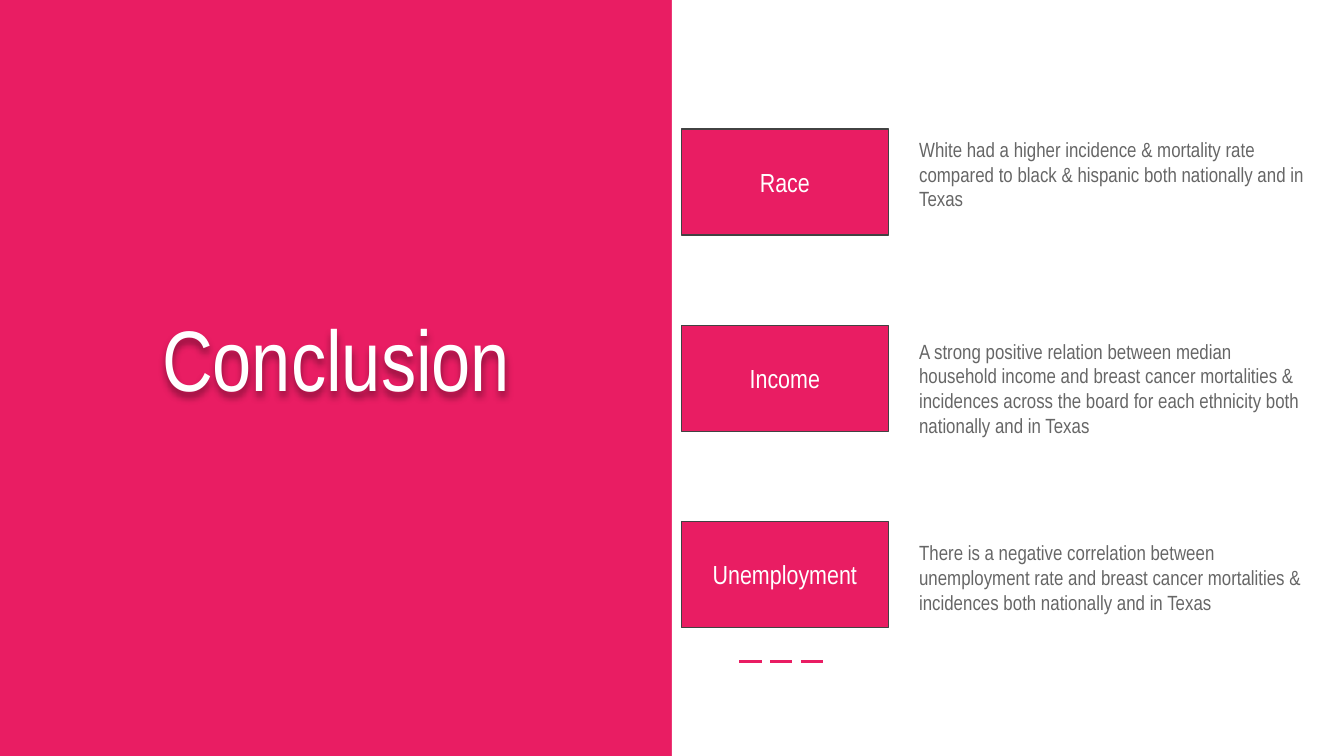
import dataclasses

import lxml.etree
import pptx
import pptx.dml.color
import pptx.enum.dml
import pptx.enum.shapes
import pptx.enum.text
import pptx.oxml
import pptx.oxml.ns
import pptx.util

Inches = pptx.util.Inches
Align = pptx.enum.text.PP_ALIGN
Anchor = pptx.enum.text.MSO_ANCHOR

SLIDE_WIDTH = 10
SLIDE_HEIGHT = SLIDE_WIDTH * 9 / 16


@dataclasses.dataclass(frozen=True)
class Theme:
    font: str = "Arial Narrow"
    pink: str = "E91D63"
    white: str = "FFFFFF"
    outline: str = "424242"
    grey: str = "666666"
    title_size: int = 46
    label_size: int = 14
    finding_size: int = 11


THEME = Theme()

FINDINGS = [
    ("Race", "White had a higher incidence & mortality rate compared to black & "
             "hispanic both nationally and in Texas", 0.88),
    ("Income", "A strong positive relation between median household income and "
               "breast cancer mortalities & incidences across the board for each "
               "ethnicity both nationally and in Texas", 1.06),
    ("Unemployment", "There is a negative correlation between unemployment rate and "
                     "breast cancer mortalities & incidences both nationally and in "
                     "Texas", 0.88),
]

TITLE_SHADOW = (
    f'<a:effectLst {pptx.oxml.ns.nsdecls("a")}>'
    '<a:outerShdw blurRad="50800" dist="38100" dir="5400000" algn="t" rotWithShape="0">'
    '<a:srgbClr val="000000"><a:alpha val="40000"/></a:srgbClr>'
    '</a:outerShdw></a:effectLst>'
)


def rgb(value):
    return pptx.dml.color.RGBColor.from_string(value)


def write_text(shape, text, *, size, color, align=Align.LEFT, anchor=Anchor.TOP):
    frame = shape.text_frame
    frame.word_wrap = True
    frame.vertical_anchor = anchor
    frame.margin_left = frame.margin_right = Inches(0.1)
    frame.margin_top = frame.margin_bottom = Inches(0.1)
    paragraph = frame.paragraphs[0]
    paragraph.alignment = align
    run = paragraph.add_run()
    run.text = text
    run.font.name = THEME.font
    run.font.size = pptx.util.Pt(size)
    run.font.color.rgb = rgb(color)


def add_text(slide, box, text, **text_format):
    area = slide.shapes.add_textbox(*map(Inches, box))
    write_text(area, text, **text_format)
    return area


def add_panel(slide, box, fill, outline=None):
    panel = slide.shapes.add_shape(
        pptx.enum.shapes.MSO_SHAPE.RECTANGLE, *map(Inches, box))
    panel.shadow.inherit = False
    panel.fill.solid()
    panel.fill.fore_color.rgb = rgb(fill)
    if outline:
        panel.line.color.rgb = rgb(outline)
        panel.line.width = pptx.util.Pt(0.75)
    else:
        panel.line.fill.background()
    return panel


def add_dashes(slide, left, right, y):
    dashes = slide.shapes.add_connector(
        pptx.enum.shapes.MSO_CONNECTOR.STRAIGHT,
        Inches(left), Inches(y), Inches(right), Inches(y))
    dashes.line.color.rgb = rgb(THEME.pink)
    dashes.line.width = pptx.util.Pt(1.5)
    dashes.line.dash_style = pptx.enum.dml.MSO_LINE.LONG_DASH
    lxml.etree.SubElement(dashes._element.spPr, pptx.oxml.ns.qn("a:effectLst"))


def add_title(slide):
    title = add_text(slide, (0.29, 1.18, 4.42, 1.96), "Conclusion",
                     size=THEME.title_size, color=THEME.white,
                     align=Align.CENTER, anchor=Anchor.BOTTOM)
    title._element.spPr.append(pptx.oxml.parse_xml(TITLE_SHADOW))


def add_finding(slide, row, topic, finding, height):
    label = add_panel(slide, (5.07, 0.96 + 1.46 * row, 1.54, 0.79),
                      THEME.pink, THEME.outline)
    write_text(label, topic, size=THEME.label_size, color=THEME.white,
               align=Align.CENTER, anchor=Anchor.MIDDLE)
    add_text(slide, (6.74, 0.92 + 1.5 * row, 3.08, height), finding,
             size=THEME.finding_size, color=THEME.grey)


def main():
    deck = pptx.Presentation()
    deck.slide_width = Inches(SLIDE_WIDTH)
    deck.slide_height = Inches(SLIDE_HEIGHT)
    slide = deck.slides.add_slide(deck.slide_layouts[6])
    slide.background.fill.solid()
    slide.background.fill.fore_color.rgb = rgb(THEME.pink)
    add_panel(slide, (5, 0, 5, SLIDE_HEIGHT), THEME.white)
    add_dashes(slide, 5.5, 6.13, 4.92)
    add_title(slide)
    for row, (topic, finding, height) in enumerate(FINDINGS):
        add_finding(slide, row, topic, finding, height)
    deck.save("out.pptx")


if __name__ == "__main__":
    main()
